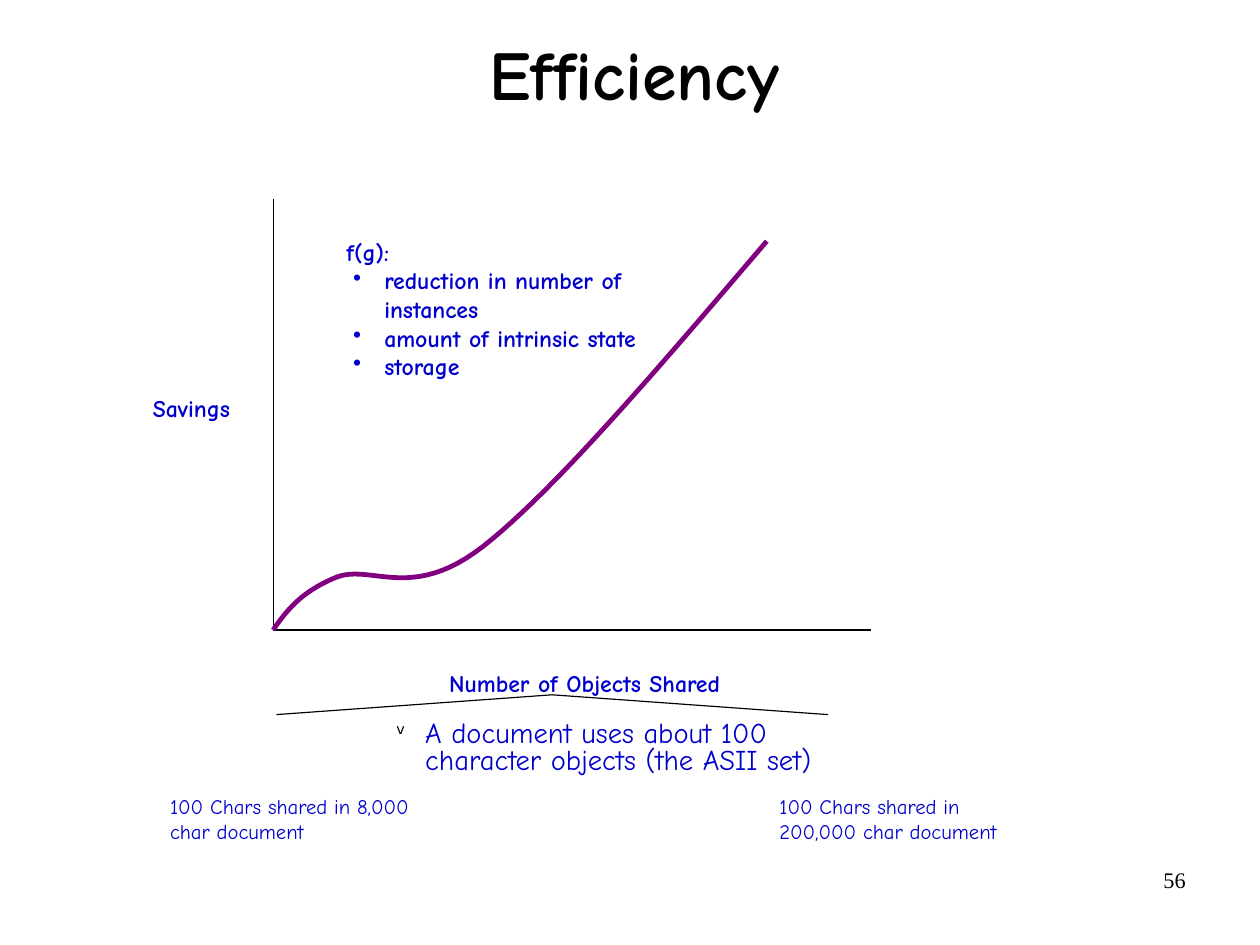
from dataclasses import dataclass
from lxml.etree import SubElement
from pptx import Presentation
from pptx.dml.color import RGBColor as RGB
from pptx.enum.shapes import MSO_CONNECTOR as CONNECTOR
from pptx.enum.text import MSO_ANCHOR as ANCHOR, PP_ALIGN as ALIGN
from pptx.oxml.ns import qn
from pptx.util import Cm, Pt

# Content; all places are in centimetres
TITLE = "Efficiency"
PAGE = "56"
SAVINGS = "Savings"
OBJECTS_SHARED = "Number of Objects Shared"
FUNCTION = "f(g):"
FACTORS = ["reduction in number of instances", "amount of intrinsic state", "storage"]
DOCUMENT_USE = "A document uses about 100 character objects (the ASII set)"
EXAMPLES = [
    (3.5, "100 Chars shared in 8,000 char document"),
    (17.04, "100 Chars shared in\v200,000 char document"),
]
ORIGIN, AXIS_ENDS = (6.07, 14), [(6.07, 4.42), (19.35, 14)]
ROOF_TOP, ROOF_HALF, ROOF_DROP = (12.27, 15.44), 6.13, 0.44
# Each curve piece: two control points and an end point
SAVINGS_CURVE = [
    ((6.38, 13.56), (6.68, 13.16), (7.47, 12.83)),
    ((8.26, 12.52), (9.14, 13.39), (10.74, 12.14)),
    ((12.32, 10.9), (14.68, 8.13), (17.04, 5.36)),
]
CURVE_STEPS = 24


@dataclass(frozen=True)
class Theme:
    ink: RGB = RGB(0, 0, 0)
    blue: RGB = RGB(0, 0, 0xCC)
    purple: RGB = RGB(0x80, 0, 0x80)
    font: str = "Comic Neue"
    page_font: str = "Times New Roman"
    title: int = 44
    body: int = 18
    label: int = 15
    example: int = 13
    page: int = 14
    thin: float = 0.75
    thick: float = 3


THEME = Theme()

prs = Presentation()
prs.slide_width, prs.slide_height = Cm(28), Cm(21)
slide = prs.slides.add_slide(prs.slide_layouts[6])


def add_text(place, *lines, size=THEME.label, color=THEME.blue, font=THEME.font,
             bold=False, align=ALIGN.LEFT, anchor=ANCHOR.TOP, inset=(0.28, 0.15),
             spacing=None, after=None):
    """Each line is a text, or a (text, left indent, first indent, bullet) tuple."""
    frame = slide.shapes.add_textbox(*map(Cm, place)).text_frame
    frame.word_wrap, frame.vertical_anchor = True, anchor
    frame.margin_left = frame.margin_right = Cm(inset[0])
    frame.margin_top = frame.margin_bottom = Cm(inset[1])
    for i, line in enumerate(lines):
        text, left, first, bullet = (line, 0, 0, None) if isinstance(line, str) else line
        para = frame.add_paragraph() if i else frame.paragraphs[0]
        props = para._p.get_or_add_pPr()
        props.set("marL", str(Cm(left)))
        props.set("indent", str(Cm(first)))
        if bullet:
            char, percent, bullet_color = bullet
            tint = SubElement(props, qn("a:buClr"))
            SubElement(tint, qn("a:srgbClr"), val=str(bullet_color))
            SubElement(props, qn("a:buSzPct"), val=str(percent * 1000))
            SubElement(props, qn("a:buChar"), char=char)
        para.text, para.alignment = text, align
        if spacing:
            para.line_spacing = spacing
        if after:
            para.space_after = Pt(after)
        for run in para.runs:
            run.font.size, run.font.name, run.font.bold = Pt(size), font, bold
            run.font.color.rgb = color


def add_line(start, end):
    line = slide.shapes.add_connector(CONNECTOR.STRAIGHT, *map(Cm, start + end))
    line.line.color.rgb, line.line.width = THEME.ink, Pt(THEME.thin)
    SubElement(line._element.spPr, qn("a:effectLst"))


def curve_points(start, pieces):
    """Points along joined cubic curves, in EMU."""
    for piece in pieces:
        corners = (start, *piece)
        for step in range(1, CURVE_STEPS + 1):
            t = step / CURVE_STEPS
            weights = ((1 - t) ** 3, 3 * t * (1 - t) ** 2, 3 * t * t * (1 - t), t ** 3)
            yield tuple(Cm(sum(w * c[axis] for w, c in zip(weights, corners)))
                        for axis in (0, 1))
        start = piece[-1]


# Title and page number
add_text((20.07, 19.13, 6.53, 1.45), PAGE, size=THEME.page, color=THEME.ink,
         font=THEME.page_font, align=ALIGN.RIGHT, inset=(0.25, 0.13))
add_text((2.16, 0, 23.88, 3.48), TITLE, size=THEME.title, color=THEME.ink, bold=True,
         align=ALIGN.CENTER, anchor=ANCHOR.MIDDLE, inset=(0, 0), spacing=0.88)

# Example of shared characters
add_text((8.18, 15.88, 10.74, 1.17), (DOCUMENT_USE, 0.99, -0.64, ("v", 50, THEME.ink)),
         size=THEME.body, spacing=0.8, after=10.9)
for example_left, example in EXAMPLES:
    add_text((example_left, 17.5, 6.53, 1.42), example, size=THEME.example)

# Labels of the graph
add_text((9.7, 14.71, 7.92, 0.91), OBJECTS_SHARED, bold=True)
add_text((3.12, 8.61, 2.7, 0.91), SAVINGS, bold=True)
add_text((7.24, 5.13, 7.92, 4.78), (FUNCTION, 0.18, 0, None),
         *[(factor, 1.02, -0.69, ("•", 100, THEME.blue)) for factor in FACTORS], bold=True)

# Axes, and the roof over the example
for axis_end in AXIS_ENDS:
    add_line(ORIGIN, axis_end)
for side in (-1, 1):
    add_line(ROOF_TOP, (ROOF_TOP[0] + side * ROOF_HALF, ROOF_TOP[1] + ROOF_DROP))

# Savings curve
outline = slide.shapes.build_freeform(*map(Cm, ORIGIN))
outline.add_line_segments(curve_points(ORIGIN, SAVINGS_CURVE), close=False)
savings = outline.convert_to_shape()
savings.shadow.inherit = False
savings.fill.background()
savings.line.color.rgb, savings.line.width = THEME.purple, Pt(THEME.thick)

prs.save("out.pptx")
